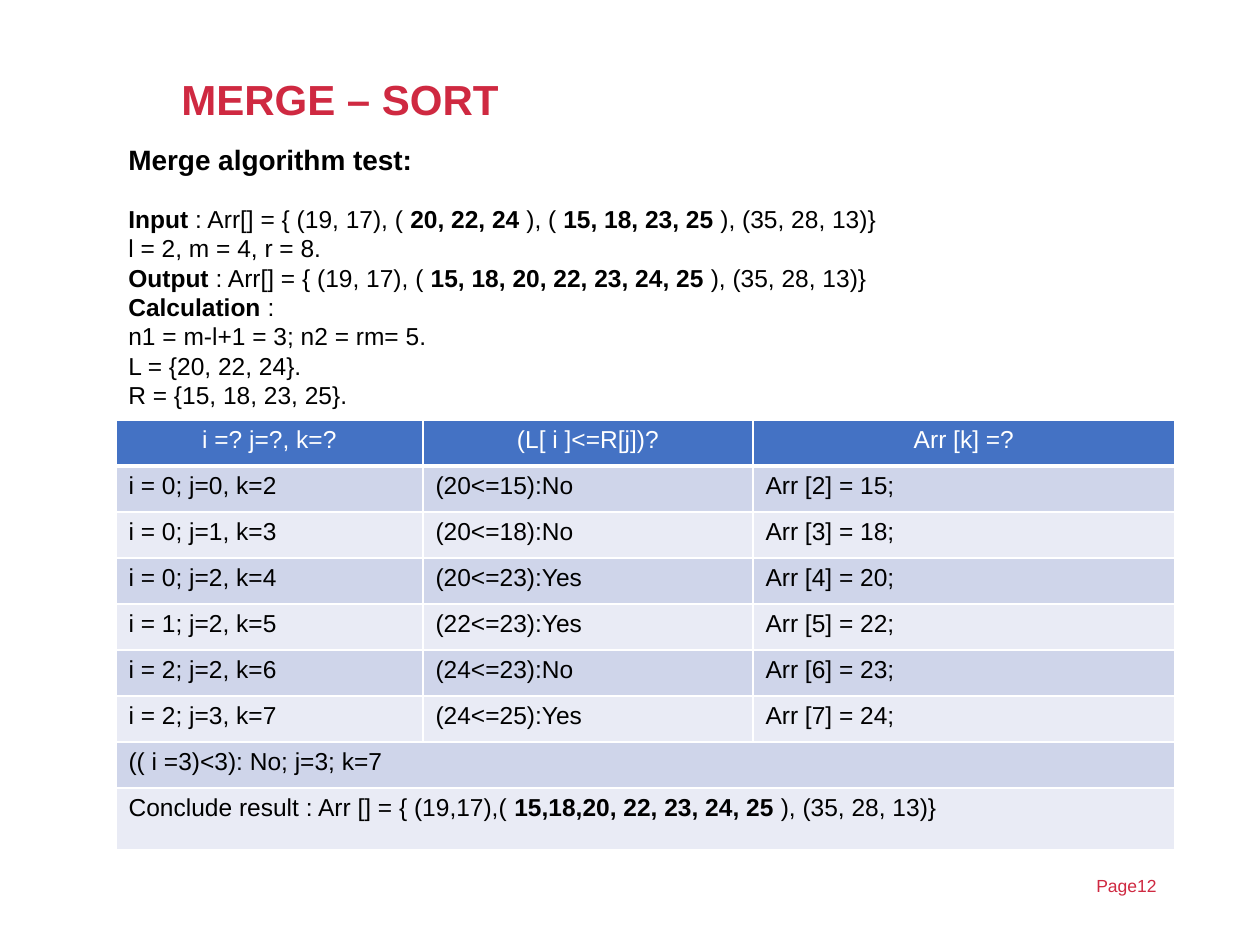
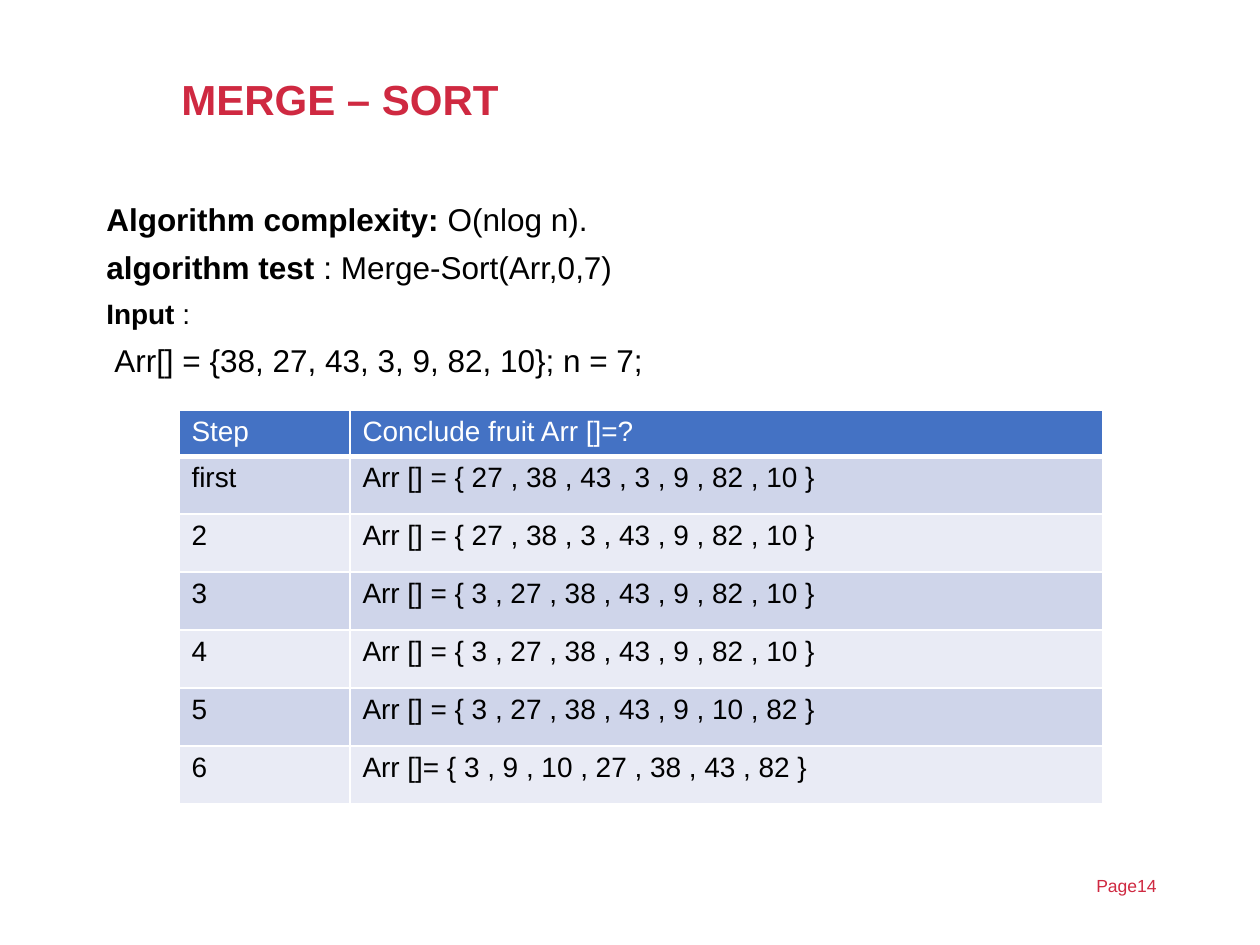
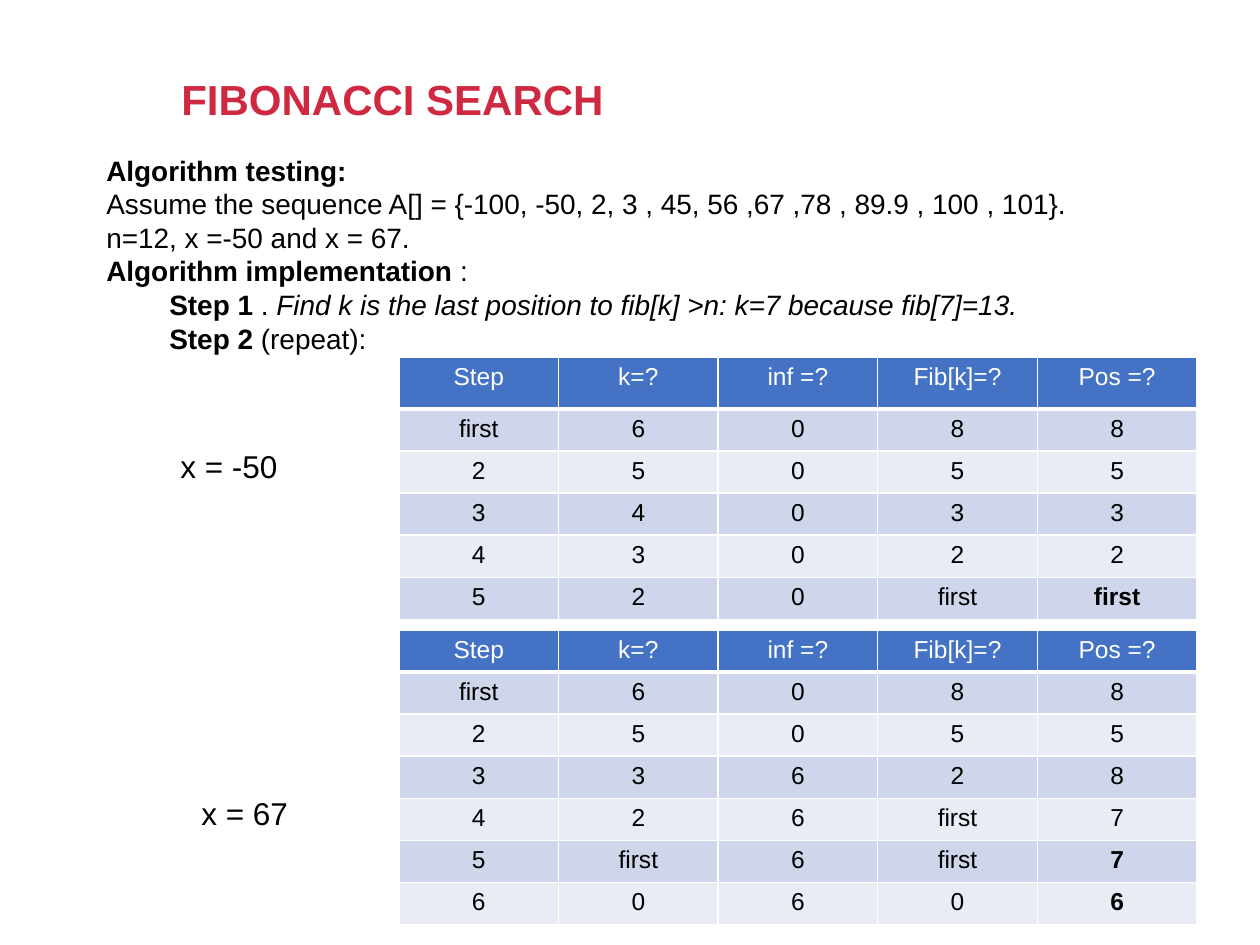
import dataclasses

import lxml.etree
import pptx
import pptx.dml.color
import pptx.enum.text
import pptx.oxml.ns
import pptx.util

PIXELS_PER_INCH = 126
ALIGN = pptx.enum.text.PP_ALIGN
ANCHOR = pptx.enum.text.MSO_ANCHOR


def px(length):
    return pptx.util.Emu(round(length * 914400 / PIXELS_PER_INCH))


def rgb(value):
    return pptx.dml.color.RGBColor.from_string(value)


@dataclasses.dataclass(frozen=True)
class Theme:
    font: str = "Arial"
    accent: str = "CF2941"
    text: str = "000000"
    header_text: str = "FFFFFF"
    header_fill: str = "4472C4"
    bands: tuple = ("CFD5EA", "E9EBF5")
    border: str = "FFFFFF"
    title_size: int = 24
    large_size: int = 18
    medium_size: int = 16
    small_size: int = 14
    footer_size: int = 10


@dataclasses.dataclass(frozen=True)
class Line:
    text: str
    size: int
    before: int = 0
    indent: int = 0
    bold: bool = False
    color: str = Theme.text
    align: ALIGN = ALIGN.LEFT


class Deck:
    def __init__(self, theme):
        self.theme = theme
        self.presentation = pptx.Presentation()
        self.presentation.slide_width = px(1260)
        self.presentation.slide_height = px(945)
        self.slide = None

    def start_slide(self, title, page=None):
        theme = self.theme
        self.slide = self.presentation.slides.add_slide(self.presentation.slide_layouts[6])
        heading = Line(title, theme.title_size, bold=True, color=theme.accent)
        frame = self.add_text((169, 50, 1005, 103), [heading])
        frame.vertical_anchor = ANCHOR.MIDDLE
        frame.paragraphs[0].line_spacing = 0.9
        if page:
            footer = Line(page, theme.footer_size, color=theme.accent)
            self.add_text((1084, 869, 151, 35), [footer])

    def fill_paragraph(self, paragraph, line):
        paragraph.alignment = line.align
        paragraph.space_before = pptx.util.Pt(line.before)
        paragraph.font.name = self.theme.font
        paragraph.font.size = pptx.util.Pt(line.size)
        paragraph.font.bold = line.bold
        paragraph.font.color.rgb = rgb(line.color)
        if line.indent:
            paragraph._p.get_or_add_pPr().set("marL", str(px(line.indent)))
        for bold_index, part in enumerate(line.text.split("*")):
            for italic_index, piece in enumerate(part.split("_")):
                if piece:
                    run = paragraph.add_run()
                    run.text = piece
                    if bold_index % 2:
                        run.font.bold = True
                    if italic_index % 2:
                        run.font.italic = True

    def add_text(self, box, lines):
        frame = self.slide.shapes.add_textbox(*map(px, box)).text_frame
        frame.word_wrap = True
        for index, line in enumerate(lines):
            paragraph = frame.add_paragraph() if index else frame.paragraphs[0]
            self.fill_paragraph(paragraph, line)
        return frame

    def add_borders(self, cell, bottom_width):
        properties = cell._tc.get_or_add_tcPr()
        for side, width in (("L", 1), ("R", 1), ("T", 1), ("B", bottom_width)):
            border = lxml.etree.SubElement(
                properties, pptx.oxml.ns.qn(f"a:ln{side}"), w=str(pptx.util.Pt(width)))
            fill = lxml.etree.SubElement(border, pptx.oxml.ns.qn("a:solidFill"))
            lxml.etree.SubElement(fill, pptx.oxml.ns.qn("a:srgbClr"), val=self.theme.border)

    def add_table(self, left, top, columns, heights, rows, size,
                  header_align=ALIGN.CENTER, body_align=ALIGN.LEFT):
        theme = self.theme
        table = self.slide.shapes.add_table(
            len(rows), len(columns), px(left), px(top), px(sum(columns)), px(sum(heights))).table
        table.first_row = False
        table.horz_banding = False
        for column, width in zip(table.columns, columns):
            column.width = px(width)
        for index, (values, height) in enumerate(zip(rows, heights)):
            table.rows[index].height = px(height)
            is_header = index == 0
            fill = theme.header_fill if is_header else theme.bands[(index - 1) % 2]
            color = theme.header_text if is_header else theme.text
            align = header_align if is_header else body_align
            for position in range(len(columns)):
                cell = table.cell(index, position)
                self.add_borders(cell, 3 if is_header else 1)
                cell.fill.solid()
                cell.fill.fore_color.rgb = rgb(fill)
                if position < len(values):
                    self.fill_paragraph(cell.text_frame.paragraphs[0],
                                        Line(values[position], size, color=color, align=align))
            if len(values) < len(columns):
                table.cell(index, len(values) - 1).merge(table.cell(index, len(columns) - 1))


def build_merge_test(deck):
    theme = deck.theme
    size = theme.small_size
    deck.start_slide("MERGE – SORT", "Page12")
    calculation = [
        "l = 2, m = 4, r = 8.",
        "*Output *: Arr[] = { (19, 17), ( *15, 18, 20, 22, 23, 24, 25 *), (35, 28, 13)}",
        "*Calculation *:",
        "n1 = m-l+1 = 3; n2 = rm= 5.",
        "L = {20, 22, 24}.",
        "R = {15, 18, 23, 25}.",
    ]
    deck.add_text((116, 136, 1197, 285), [
        Line("Merge algorithm test:", theme.medium_size, 6, bold=True, align=ALIGN.JUSTIFY),
        Line("*Input *: Arr[] = { (19, 17), ( *20, 22, 24 *), ( *15, 18, 23, 25 *), (35, 28, 13)}",
             size, 16, align=ALIGN.JUSTIFY),
        *[Line(text, size, align=ALIGN.JUSTIFY) for text in calculation],
    ])
    deck.add_table(116, 420, [307, 330, 422], [46] * 8 + [62], [
        ["i =? j=?, k=?", "(L[ i ]<=R[j])?", "Arr [k] =?"],
        ["i = 0; j=0, k=2", "(20<=15):No", "Arr [2] = 15;"],
        ["i = 0; j=1, k=3", "(20<=18):No", "Arr [3] = 18;"],
        ["i = 0; j=2, k=4", "(20<=23):Yes", "Arr [4] = 20;"],
        ["i = 1; j=2, k=5", "(22<=23):Yes", "Arr [5] = 22;"],
        ["i = 2; j=2, k=6", "(24<=23):No", "Arr [6] = 23;"],
        ["i = 2; j=3, k=7", "(24<=25):Yes", "Arr [7] = 24;"],
        ["(( i =3)<3): No; j=3; k=7"],
        ["Conclude result : Arr [] = { (19,17),( *15,18,20, 22, 23, 24, 25 *), (35, 28, 13)}"],
    ], size)


def build_merge_steps(deck):
    theme = deck.theme
    deck.start_slide("MERGE – SORT", "Page14")
    introduction = [
        ("*Algorithm complexity: *O(nlog n).", theme.large_size, 0),
        ("*algorithm test *: Merge-Sort(Arr,0,7)", theme.large_size, 0),
        ("*Input *:", theme.medium_size, 0),
        ("Arr[] = {38, 27, 43, 3, 9, 82, 10}; n = 7;", theme.large_size, 8),
    ]
    deck.add_text((94, 194, 1197, 239), [
        Line(text, size, 6, indent, align=ALIGN.JUSTIFY) for text, size, indent in introduction])
    deck.add_table(179, 410, [171, 753], [46] + [58] * 6, [
        ["Step", "Conclude fruit Arr []=?"],
        ["first", "Arr [] = { 27 , 38 , 43 , 3 , 9 , 82 , 10 }"],
        ["2", "Arr [] = { 27 , 38 , 3 , 43 , 9 , 82 , 10 }"],
        ["3", "Arr [] = { 3 , 27 , 38 , 43 , 9 , 82 , 10 }"],
        ["4", "Arr [] = { 3 , 27 , 38 , 43 , 9 , 82 , 10 }"],
        ["5", "Arr [] = { 3 , 27 , 38 , 43 , 9 , 10 , 82 }"],
        ["6", "Arr []= { 3 , 9 , 10 , 27 , 38 , 43 , 82 }"],
    ], theme.medium_size, header_align=ALIGN.LEFT)


def build_fibonacci(deck):
    theme = deck.theme
    size = theme.medium_size
    deck.start_slide("FIBONACCI SEARCH")
    deck.add_text((94, 147, 1260, 217), [
        Line("Algorithm testing:", size, bold=True),
        Line("Assume the sequence A[] = {-100, -50, 2, 3 , 45, 56 ,67 ,78 , 89.9 , 100 , 101}.", size),
        Line("n=12, x =-50 and x = 67.", size),
        Line("*Algorithm implementation *:", size),
        Line("*Step 1 *. _Find k is the last position to fib[k] >n: k=7 because fib[7]=13._",
             size, indent=63),
        Line("*Step 2 *(repeat):", size, indent=63),
    ])
    header = ["Step", "k=?", "inf =?", "Fib[k]=?", "Pos =?"]
    searches = [
        ("x = -50", 168, 441, 357, [52] + [42] * 5, [
            ["first", "6", "0", "8", "8"],
            ["2", "5", "0", "5", "5"],
            ["3", "4", "0", "3", "3"],
            ["4", "3", "0", "2", "2"],
            ["5", "2", "0", "first", "*first*"],
        ]),
        ("x = 67", 189, 788, 630, [42] * 7, [
            ["first", "6", "0", "8", "8"],
            ["2", "5", "0", "5", "5"],
            ["3", "3", "6", "2", "8"],
            ["4", "2", "6", "first", "7"],
            ["5", "first", "6", "first", "*7*"],
            ["6", "0", "6", "0", "*6*"],
        ]),
    ]
    for label, label_left, label_top, table_top, heights, steps in searches:
        deck.add_table(399, table_top, [798 / 5] * 5, heights, [header, *steps],
                       theme.small_size, body_align=ALIGN.CENTER)
        deck.add_text((label_left, label_top, 231, 53), [Line(label, theme.large_size)])


def main():
    deck = Deck(Theme())
    build_merge_test(deck)
    build_merge_steps(deck)
    build_fibonacci(deck)
    deck.presentation.save("out.pptx")


if __name__ == "__main__":
    main()
